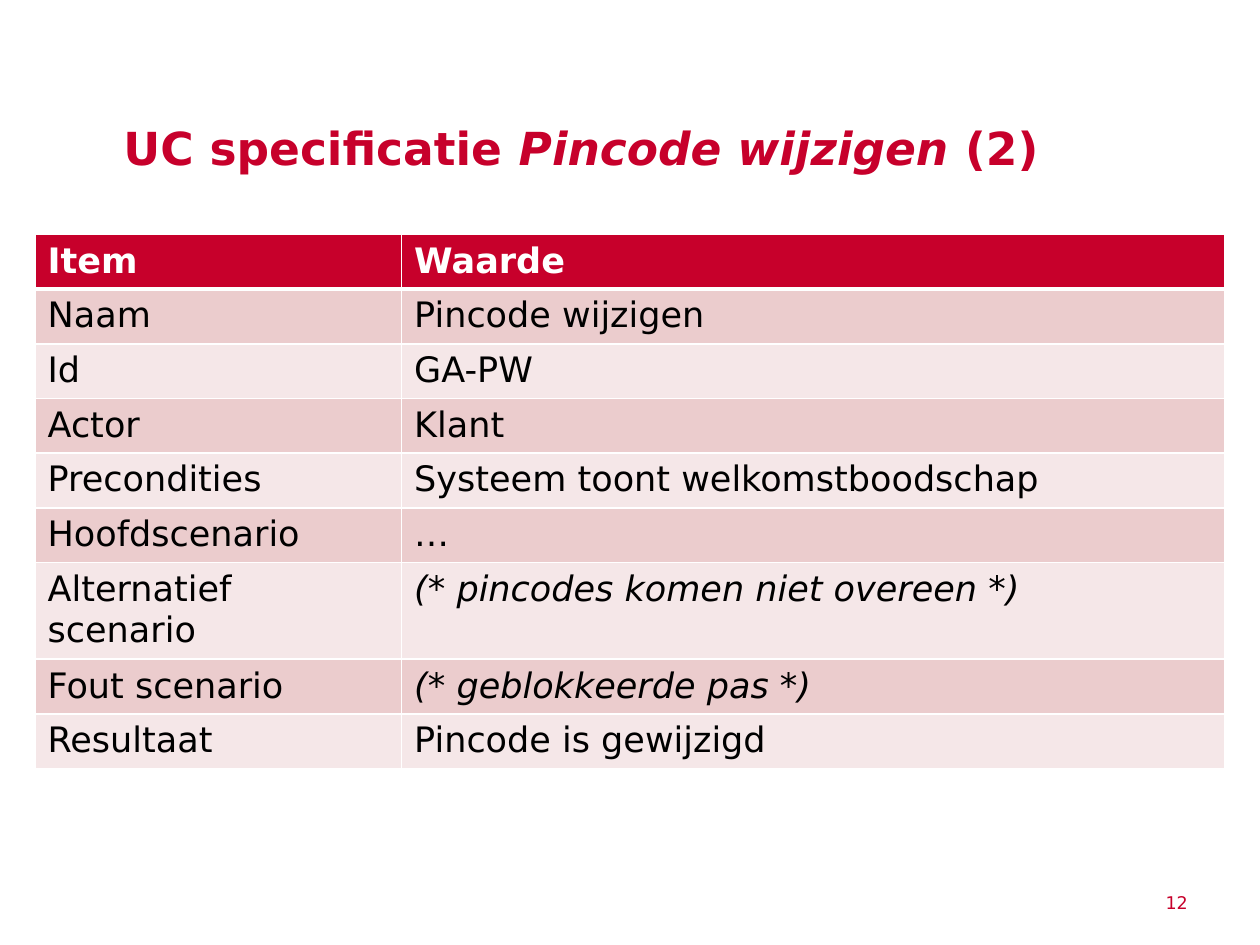
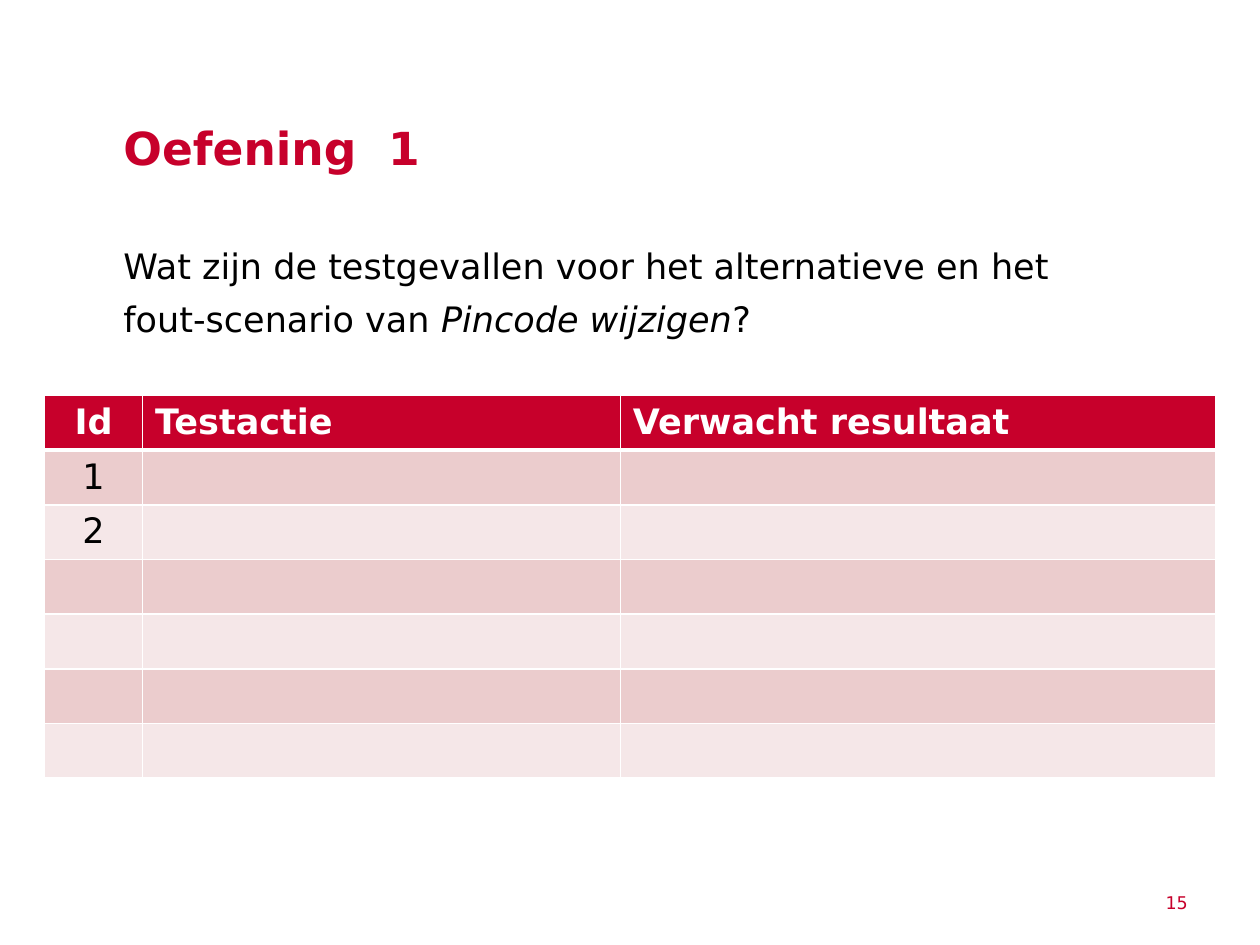
from pptx import Presentation
from pptx.dml.color import RGBColor
from pptx.enum.text import MSO_ANCHOR, PP_ALIGN
from pptx.oxml import parse_xml
from pptx.oxml.ns import nsdecls
from pptx.util import Pt

LEFT, CENTER = PP_ALIGN.LEFT, PP_ALIGN.CENTER
TOP = MSO_ANCHOR.TOP

FONT = "DejaVu Sans"
RED, WHITE, BLACK = "C7002B", "FFFFFF", "000000"
BANDS = ("EBCCCD", "F5E7E8")
TITLE_BOX = (70.5, 72, 578, 28)
BODY_BOX = (70.5, 134, 578, 363)
NUMBER_BOX = (666, 506, 57, 14.5)
ROW_HEIGHT = 30.5
TEXT_SIZE = 20


def color(value):
    """Turn a hex string into a colour."""
    return RGBColor.from_string(value)


def write(paragraph, parts, size, ink, bold=False):
    """Write (text, italic) parts in one shared font."""
    font = paragraph.font
    font.name, font.size, font.bold = FONT, Pt(size), bold
    font.color.rgb = color(ink)
    for text, italic in parts:
        run = paragraph.add_run()
        run.text = text
        if italic:
            run.font.italic = True


def add_text(slide, box, parts, size, ink, spacing, bold=False):
    """Add a wrapped text box without margins."""
    frame = slide.shapes.add_textbox(*map(Pt, box)).text_frame
    frame.word_wrap = True
    frame.vertical_anchor = TOP
    frame.margin_left = frame.margin_right = 0
    frame.margin_top = frame.margin_bottom = 0
    paragraph = frame.paragraphs[0]
    paragraph.line_spacing = spacing
    write(paragraph, parts, size, ink, bold)


def add_frame(presentation, title_parts, number):
    """Add a blank slide with its title and page number."""
    slide = presentation.slides.add_slide(presentation.slide_layouts[6])
    add_text(slide, TITLE_BOX, title_parts, 26, RED, Pt(28), bold=True)
    add_text(slide, NUMBER_BOX, [(number, False)], 10, RED, Pt(16))
    return slide


def set_borders(cell, top, bottom):
    """Draw white borders around a cell, widths in points."""
    properties = cell._tc.get_or_add_tcPr()
    widths = {"lnL": 1, "lnR": 1, "lnT": top, "lnB": bottom}
    for index, (side, width) in enumerate(widths.items()):
        properties.insert(index, parse_xml(
            f'<a:{side} {nsdecls("a")} w="{Pt(width)}"><a:solidFill>'
            f'<a:srgbClr val="{WHITE}"/></a:solidFill></a:{side}>'))


def add_banded_table(slide, left, top, widths, rows, heights, centered=()):
    """Add a table with a red header and alternating pink rows."""
    box = (left, top, sum(widths), sum(heights))
    table = slide.shapes.add_table(len(rows), len(widths), *map(Pt, box)).table
    for column, width in zip(table.columns, widths):
        column.width = Pt(width)
    for row_index, (values, height) in enumerate(zip(rows, heights)):
        table.rows[row_index].height = Pt(height)
        header = row_index == 0
        fill = RED if header else BANDS[(row_index - 1) % 2]
        for column_index, value in enumerate(values):
            cell = table.cell(row_index, column_index)
            cell.fill.solid()
            cell.fill.fore_color.rgb = color(fill)
            set_borders(cell, 3 if row_index == 1 else 1, 3 if header else 1)
            paragraph = cell.text_frame.paragraphs[0]
            paragraph.alignment = CENTER if column_index in centered else LEFT
            parts = [(value, value.startswith("(*"))] if value else []
            write(paragraph, parts, TEXT_SIZE, WHITE if header else BLACK, header)


def add_specification_slide(presentation):
    """Add the use case specification."""
    slide = add_frame(presentation, [
        ("UC specificatie ", False), ("Pincode wijzigen", True), (" (2)", False)], "12")
    rows = [
        ("Item", "Waarde"),
        ("Naam", "Pincode wijzigen"),
        ("Id", "GA-PW"),
        ("Actor", "Klant"),
        ("Precondities", "Systeem toont welkomstboodschap"),
        ("Hoofdscenario", "…"),
        ("Alternatief scenario", "(* pincodes komen niet overeen *)"),
        ("Fout scenario", "(* geblokkeerde pas *)"),
        ("Resultaat", "Pincode is gewijzigd"),
    ]
    heights = [53.8 if item == "Alternatief scenario" else ROW_HEIGHT for item, _ in rows]
    add_banded_table(slide, 20, 134, (209.5, 470.5), rows, heights)


def add_exercise_slide(presentation):
    """Add the exercise with its test case table to fill in."""
    slide = add_frame(presentation, [("Oefening  1", False)], "15")
    add_text(slide, BODY_BOX, [
        ("Wat zijn de testgevallen voor het alternatieve en het fout-scenario van ", False),
        ("Pincode wijzigen", True), ("?", False)], TEXT_SIZE, BLACK, 1.25)
    rows = [("Id", "Testactie", "Verwacht resultaat")]
    rows += [(number, "", "") for number in ("1", "2", "", "", "", "")]
    add_banded_table(slide, 25.5, 226, (56, 273, 340), rows,
                     [ROW_HEIGHT] * len(rows), centered=(0,))


def main():
    """Build and save the presentation."""
    presentation = Presentation()
    presentation.slide_width, presentation.slide_height = Pt(720), Pt(540)
    add_specification_slide(presentation)
    add_exercise_slide(presentation)
    presentation.save("out.pptx")


if __name__ == "__main__":
    main()
